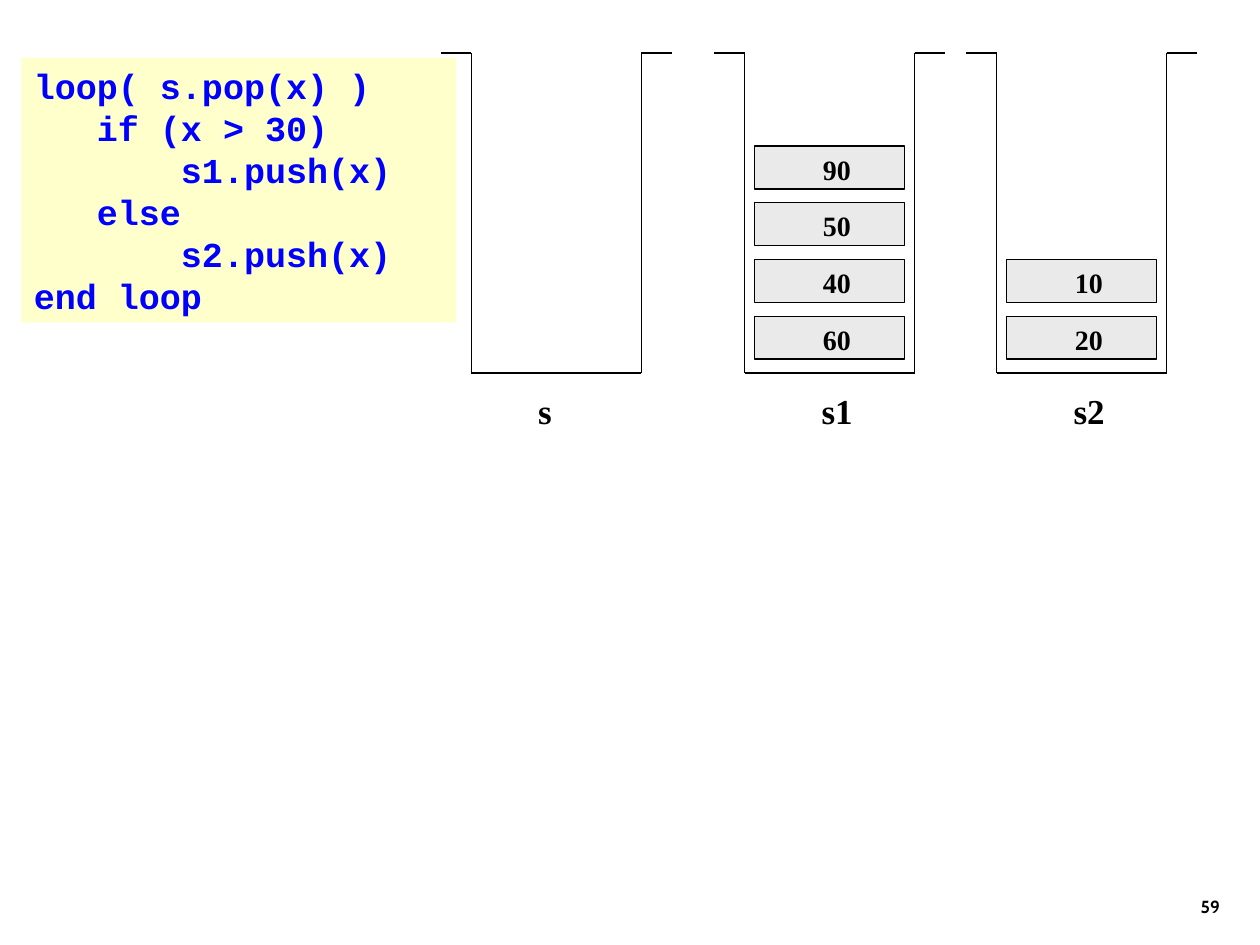
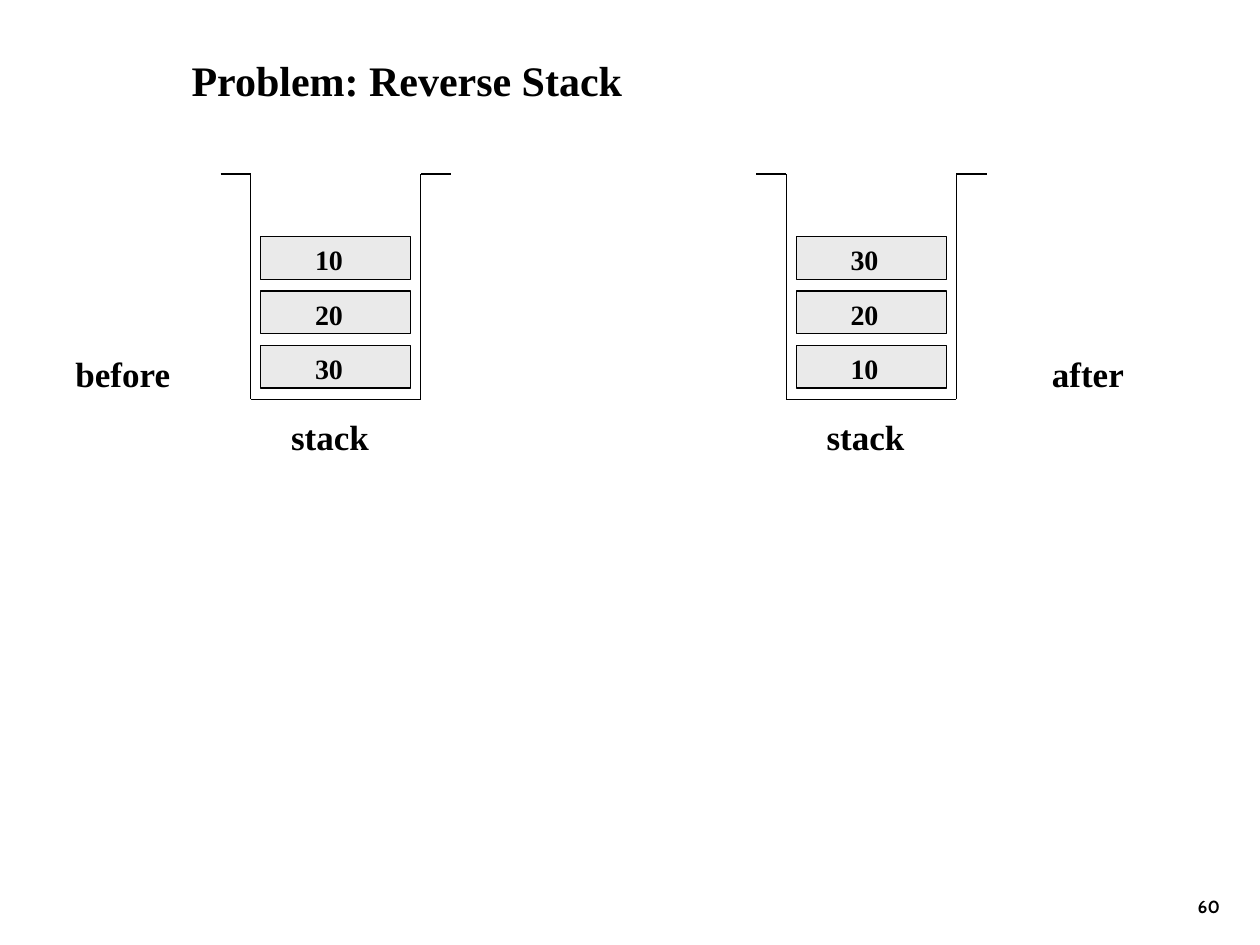
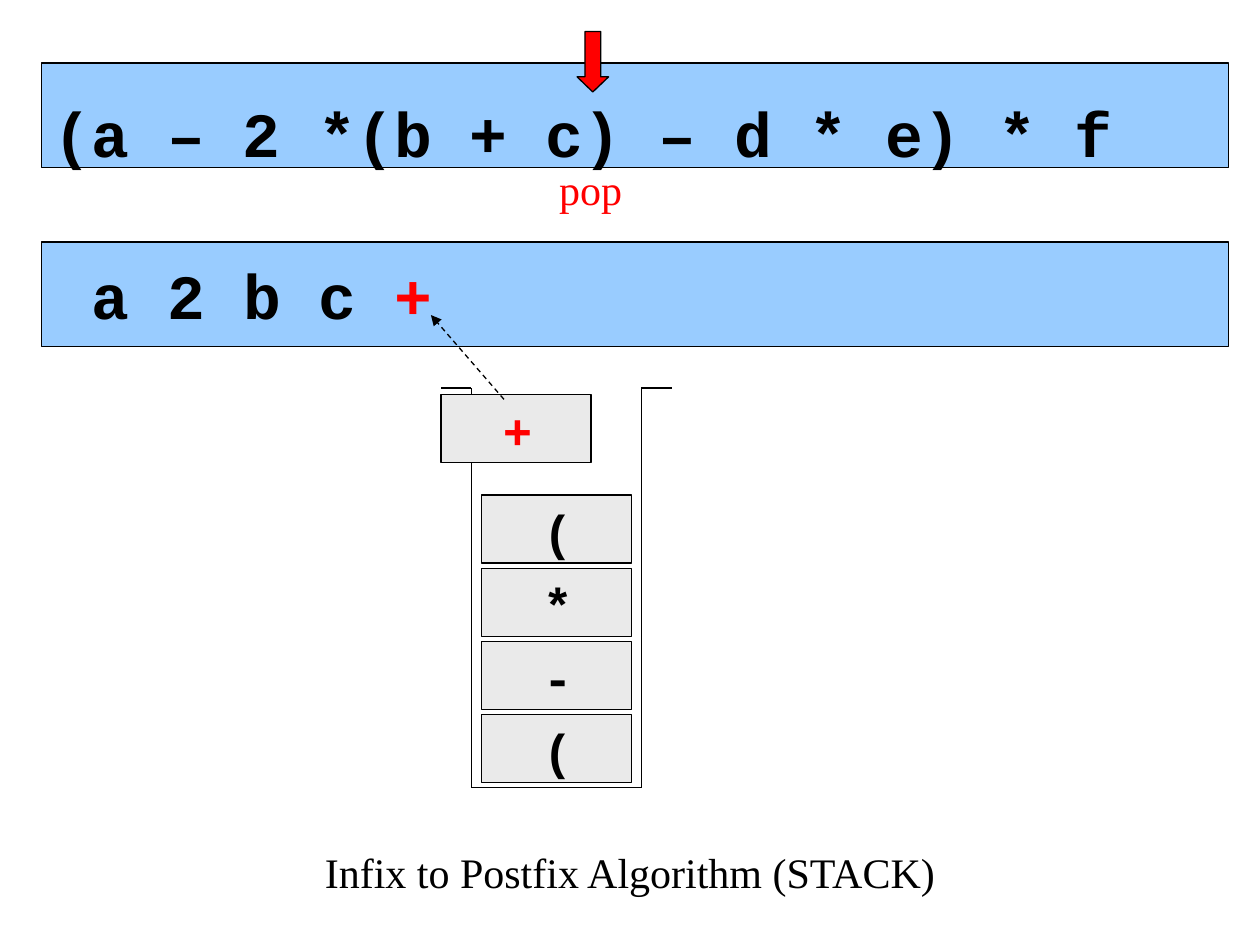
from itertools import pairwise

from lxml.etree import SubElement
from pptx import Presentation
from pptx.dml.color import RGBColor
from pptx.enum.dml import MSO_LINE
from pptx.enum.shapes import MSO_CONNECTOR, MSO_SHAPE
from pptx.enum.text import MSO_ANCHOR, MSO_AUTO_SIZE, PP_ALIGN
from pptx.oxml.ns import qn
from pptx.util import Inches, Pt

BLACK, WHITE, RED, BLUE = "000000", "FFFFFF", "FF0000", "0000FF"
CELL_FILL, CODE_FILL, BAND_FILL = "EAEAEA", "FFFFCC", "99CCFF"
SERIF, MONO, NUMBER_FONT = "Times New Roman", "Courier New", "Cabin"
LINE_WIDTH = Pt(0.75)
TITLE_ONLY, BLANK = 5, 6
LIP, WELL_WIDTH = 0.24, 1.83
CELL_OFFSET, CELL_WIDTH = 0.32, 1.19
CODE = """loop( s.pop(x) )
   if (x > 30)
       s1.push(x)
   else
       s2.push(x)
end loop"""


def rgb(color):
    """Turn a hex string into a colour."""
    return RGBColor.from_string(color)


def style_run(run, size, font=SERIF, color=BLACK, bold=True):
    """Set the font of one run."""
    run.font.size = Pt(size)
    run.font.name = font
    run.font.bold = bold
    run.font.color.rgb = rgb(color)


def write(shape, text, size, font=SERIF, color=BLACK, bold=True,
          align=PP_ALIGN.LEFT, anchor=MSO_ANCHOR.TOP, indent=0):
    """Fill a shape with text in one style."""
    frame = shape.text_frame
    frame.text = text
    frame.word_wrap = True
    frame.auto_size = MSO_AUTO_SIZE.NONE
    frame.vertical_anchor = anchor
    frame.margin_left = Inches(0.1 + indent)
    frame.margin_right = Inches(0.1)
    frame.margin_top = frame.margin_bottom = Inches(0.05)
    for paragraph in frame.paragraphs:
        paragraph.alignment = align
        for run in paragraph.runs:
            style_run(run, size, font, color, bold)


def add_box(slide, box, fill, outlined=False, preset=MSO_SHAPE.RECTANGLE):
    """Add a filled preset shape, with a thin black outline if wanted."""
    shape = slide.shapes.add_shape(preset, *map(Inches, box))
    shape.shadow.inherit = False
    shape.fill.solid()
    shape.fill.fore_color.rgb = rgb(fill)
    if outlined:
        shape.line.color.rgb = rgb(BLACK)
        shape.line.width = LINE_WIDTH
    else:
        shape.line.fill.background()
    return shape


def add_line(slide, start, end):
    """Add a thin black straight line."""
    line = slide.shapes.add_connector(
        MSO_CONNECTOR.STRAIGHT, *map(Inches, (*start, *end)))
    line.line.color.rgb = rgb(BLACK)
    line.line.width = LINE_WIDTH
    SubElement(line._element.spPr, qn("a:effectLst"))
    return line


def add_dashed_arrow(slide, start, end):
    """Add a dashed line with an arrowhead at its end."""
    arrow = add_line(slide, start, end)
    arrow.line.dash_style = MSO_LINE.DASH
    SubElement(arrow.line._get_or_add_ln(), qn("a:tailEnd"), type="triangle")


def add_text(slide, box, text, size, **style):
    """Add a text box."""
    write(slide.shapes.add_textbox(*map(Inches, box)), text, size, **style)


def add_label(slide, left, top, text, indent=0):
    """Add a white caption box."""
    label = add_box(slide, (left, top, 1.38, 0.5), WHITE)
    write(label, text, 20, indent=indent)


def add_cell(slide, left, top, height, text, **style):
    """Add one stack element."""
    cell = add_box(slide, (left, top, CELL_WIDTH, height), CELL_FILL, True)
    write(cell, text, **style)


def add_stack(slide, left, top, height, values, pitch, cell_height=0.34, **style):
    """Draw an open well and pile its values up from the floor."""
    floor, right = top + height, left + WELL_WIDTH
    corners = [(left, top), (left + LIP, top), (left + LIP, floor),
               (right - LIP, floor), (right - LIP, top), (right, top)]
    for start, end in pairwise(corners):
        add_line(slide, start, end)
    for level, value in enumerate(values, 1):
        add_cell(slide, left + CELL_OFFSET, floor - level * pitch,
                 cell_height, value, **style)


def add_band(slide, top, text, indent=0):
    """Add a wide expression band and return its paragraph."""
    band = add_box(slide, (0.33, top, 9.42, 0.83), BAND_FILL, True)
    write(band, text, 36, font=MONO, anchor=MSO_ANCHOR.MIDDLE, indent=indent)
    return band.text_frame.paragraphs[0]


def add_slide(presentation, layout, number=None):
    """Add a slide with an optional page number."""
    slide = presentation.slides.add_slide(presentation.slide_layouts[layout])
    if number:
        add_text(slide, (7.7, 6.83, 2.08, 0.5), number, 10, font=NUMBER_FONT,
                 align=PP_ALIGN.RIGHT, anchor=MSO_ANCHOR.BOTTOM)
    return slide


def set_title(slide, box, text, **style):
    """Place and format the title placeholder."""
    title = slide.shapes.title
    title.left, title.top, title.width, title.height = map(Inches, box)
    write(title, text, 24, **style)


def build_split_slide(presentation):
    """Show a loop that splits one stack into two."""
    slide = add_slide(presentation, BLANK, "59")
    stacks = [("s", 3.5, 0.25, []),
              ("s1", 5.67, 0.33, ["60", "40", "50", "90"]),
              ("s2", 7.67, 0.33, ["20", "10"])]
    for name, left, label_offset, values in stacks:
        add_stack(slide, left, 0.42, 2.54, values, 0.45, size=16, indent=0.44)
        add_label(slide, left + label_offset, 3.04, name, 0.42)
    code = add_box(slide, (0.17, 0.46, 3.45, 2.1), CODE_FILL)
    write(code, CODE, 20, font=MONO, color=BLUE)


def build_reverse_slide(presentation):
    """Show a stack before and after it is reversed."""
    slide = add_slide(presentation, TITLE_ONLY, "60")
    set_title(slide, (1.42, 0.38, 6.25, 0.5), "Problem: Reverse Stack")
    values = ["30", "20", "10"]
    stacks = [("before", 0.5, 1.75, values), ("after", 8.25, 6, values[::-1])]
    for state, state_left, left, contents in stacks:
        add_label(slide, state_left, 2.75, state)
        add_stack(slide, left, 1.38, 1.79, contents, 0.43, size=16, indent=0.33)
        add_label(slide, left + 0.25, 3.25, "stack", 0.21)


def build_postfix_slide(presentation):
    """Show one step of the infix to postfix conversion."""
    slide = add_slide(presentation, TITLE_ONLY)
    set_title(slide, (0, 6.33, 10, 1.17), "Infix to Postfix Algorithm (STACK)",
              bold=False, align=PP_ALIGN.CENTER, anchor=MSO_ANCHOR.MIDDLE)
    infix = add_band(slide, 0.5, "(a – 2 *(b + c) – d * e) * f")
    spacer = infix.add_run()
    spacer.text = " "
    style_run(spacer, 60, MONO)
    postfix = add_band(slide, 1.92, "a 2 b c ", 0.3)
    operator = postfix.add_run()
    operator.text = "+"
    style_run(operator, 36, MONO, RED)
    cell_style = {"size": 28, "font": MONO, "indent": 0.39}
    add_stack(slide, 3.5, 3.08, 3.17, ["(", "-", "*", "("], 0.58, 0.54, **cell_style)
    add_cell(slide, 3.5, 3.13, 0.54, "+", color=RED, **cell_style)
    pointer = add_box(slide, (4.58, 0.25, 0.25, 0.48), RED, True, MSO_SHAPE.DOWN_ARROW)
    pointer.adjustments[1] = 0.48
    add_text(slide, (4.34, 1.25, 0.7, 0.5), "pop", 24, color=RED, bold=False)
    add_dashed_arrow(slide, (4, 3.17), (3.42, 2.5))


def main():
    """Build and save the presentation."""
    presentation = Presentation()
    presentation.slide_width = Inches(10)
    presentation.slide_height = Inches(7.5)
    build_split_slide(presentation)
    build_reverse_slide(presentation)
    build_postfix_slide(presentation)
    presentation.save("out.pptx")


if __name__ == "__main__":
    main()
